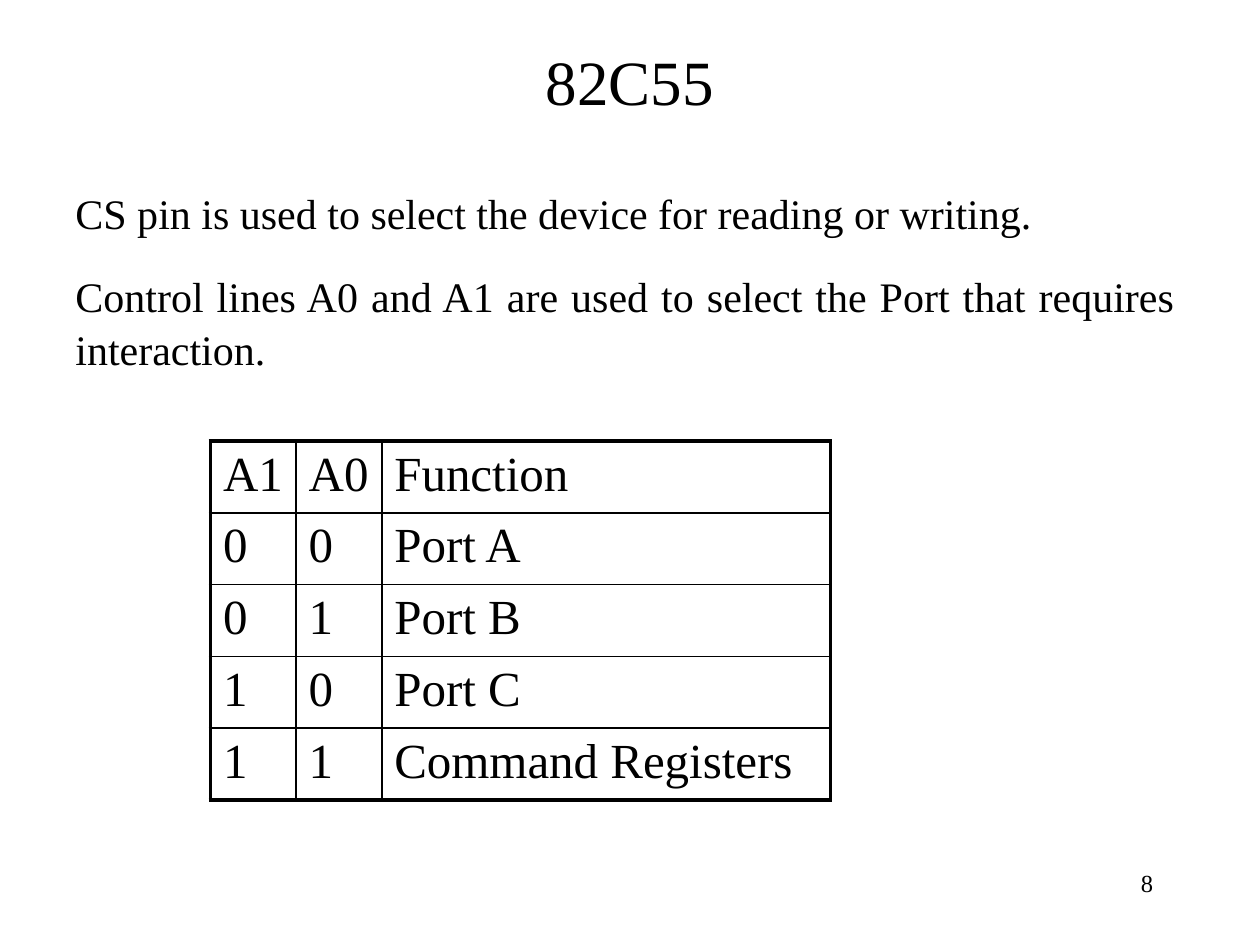
import pptx
import pptx.util
import pptx.dml.color
import pptx.enum.text
import pptx.oxml
import pptx.oxml.ns

Inches = pptx.util.Inches
Align = pptx.enum.text.PP_ALIGN
Anchor = pptx.enum.text.MSO_ANCHOR

FONT = "Times New Roman"
INK = "000000"
PAPER = "FFFFFF"
THIN, THICK = 1, 2.25

STATEMENTS = [
    (1.42, 0.5, "CS pin is used to select the device for reading or writing."),
    (2.08, 0.9, "Control lines A0 and A1 are used to select the Port that requires interaction."),
]
PORT_ROWS = [
    ("A1", "A0", "Function"),
    ("0", "0", "Port A"),
    ("0", "1", "Port B"),
    ("1", "0", "Port C"),
    ("1", "1", "Command Registers"),
]
COLUMN_WIDTHS = (0.68, 0.68, 3.56)
ROW_HEIGHT = 0.57


def color(value):
    return pptx.dml.color.RGBColor.from_string(value)


def write(frame, text, size, align=Align.LEFT, anchor=Anchor.TOP, spacing=1.05):
    frame.word_wrap = True
    frame.vertical_anchor = anchor
    para = frame.paragraphs[0]
    para.alignment = align
    para.line_spacing = spacing
    span = para.add_run()
    span.text = text
    span.font.name = FONT
    span.font.size = pptx.util.Pt(size)
    span.font.color.rgb = color(INK)


def add_title(page, left, top, width, height):
    title = page.shapes.title
    title.left, title.top = Inches(left), Inches(top)
    title.width, title.height = Inches(width), Inches(height)
    write(title.text_frame, "82C55", 36, Align.CENTER, Anchor.MIDDLE)


def add_text(page, left, top, width, height, text, **text_format):
    box = page.shapes.add_textbox(Inches(left), Inches(top), Inches(width), Inches(height))
    write(box.text_frame, text, **text_format)


def set_borders(cell, **widths):
    """Draw cell borders; widths are points keyed by L, R, T and B."""
    properties = cell._tc.get_or_add_tcPr()
    namespace = pptx.oxml.ns.nsdecls("a")
    for position, side in enumerate("LRTB"):
        line = pptx.oxml.parse_xml(
            f'<a:ln{side} {namespace} w="{pptx.util.Pt(widths[side])}">'
            f'<a:solidFill><a:srgbClr val="{INK}"/></a:solidFill></a:ln{side}>'
        )
        properties.insert(position, line)


def add_port_table(page, left, top):
    row_count, column_count = len(PORT_ROWS), len(COLUMN_WIDTHS)
    table = page.shapes.add_table(
        row_count, column_count, Inches(left), Inches(top),
        Inches(sum(COLUMN_WIDTHS)), Inches(ROW_HEIGHT * row_count),
    ).table
    table.first_row = table.horz_banding = False
    for column, width in zip(table.columns, COLUMN_WIDTHS):
        column.width = Inches(width)
    for r, labels in enumerate(PORT_ROWS):
        table.rows[r].height = Inches(ROW_HEIGHT)
        for c, label in enumerate(labels):
            cell = table.cell(r, c)
            write(cell.text_frame, label, 28, spacing=1.0)
            cell.fill.solid()
            cell.fill.fore_color.rgb = color(PAPER)
            set_borders(
                cell,
                L=THICK if c == 0 else THIN,
                R=THICK if c == column_count - 1 else THIN,
                T=THICK if r == 0 else THIN,
                B=THICK if r == row_count - 1 else THIN,
            )


def main():
    deck = pptx.Presentation()
    deck.slide_width, deck.slide_height = Inches(10), Inches(7.5)
    page = deck.slides.add_slide(deck.slide_layouts[5])
    add_title(page, 0.75, 0, 8.5, 1.25)
    for top, height, statement in STATEMENTS:
        add_text(page, 0.5, top, 8.92, height, statement, size=24, align=Align.JUSTIFY)
    add_port_table(page, 1.67, 3.5)
    add_text(page, 7.17, 6.83, 2.08, 0.5, "8", size=14, align=Align.RIGHT)
    deck.save("out.pptx")


if __name__ == "__main__":
    main()
